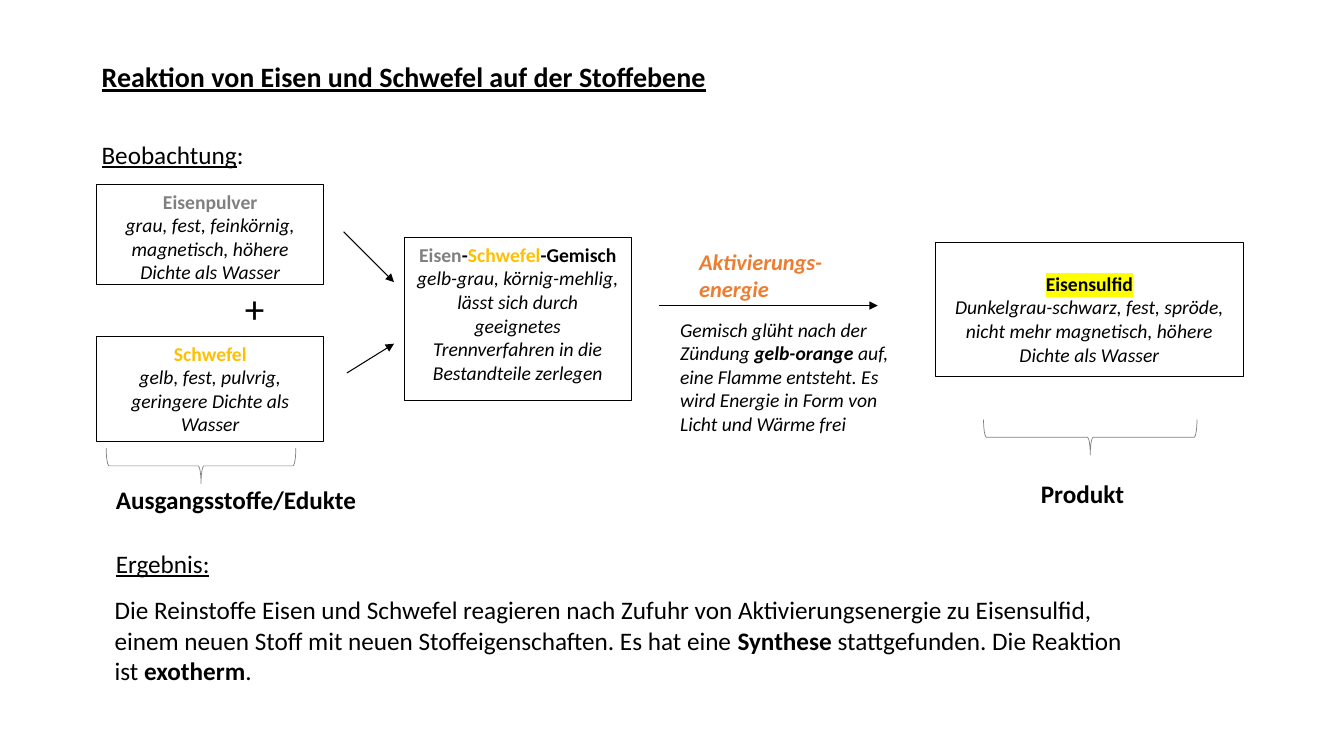
from lxml.etree import SubElement
from pptx import Presentation
from pptx.dml.color import RGBColor
from pptx.enum.shapes import MSO_CONNECTOR, MSO_SHAPE
from pptx.enum.text import MSO_ANCHOR, MSO_AUTO_SIZE, PP_ALIGN
from pptx.oxml.ns import qn
from pptx.util import Cm, Pt

COLORS = {
    "black": "000000", "white": "FFFFFF", "iron": "808080",
    "sulfur": "FFC000", "energy": "ED7D31", "marker": "FFFF00",
}
FONT = "Calibri"

# A run is (text, style letters, colour, highlight); the last two may be left out.
# Style letters: b bold, i italic, u underlined.
TITLE = [("Reaktion von Eisen und Schwefel auf der Stoffebene", "bu")]
TITLE_PLACE = (2.31, 1.37, 20.27, 1.12)

# Framed substances: place in cm, top inset in cm, paragraphs
SUBSTANCES = [
    ((2.44, 8.48, 5.72, 2.64), 0.13, [
        [("Schwefel", "b", "sulfur")],
        [("gelb, fest, pulvrig, geringere Dichte als Wasser", "i")]]),
    ((2.44, 4.65, 5.72, 2.51), 0.13, [
        [("Eisenpulver", "b", "iron")],
        [("grau, fest, feinkörnig, magnetisch, höhere Dichte als Wasser", "i")]]),
    ((10.19, 5.99, 5.72, 4.11), 0.13, [
        [("Eisen", "b", "iron"), ("-", "b"), ("Schwefel", "b", "sulfur"),
         ("-Gemisch", "b")],
        [("gelb-grau, körnig-mehlig, lässt sich durch geeignetes "
          "Trennverfahren in die Bestandteile zerlegen", "i")]]),
    ((23.57, 6.12, 7.77, 3.38), 0.73, [
        [("Eisensulfid", "b", "black", "marker")],
        [("Dunkelgrau-schwarz, fest, spröde, nicht mehr magnetisch, "
          "höhere Dichte als Wasser", "i")]]),
]

# Reaction notes: place in cm, bottom inset in cm, size, runs
NOTES = [
    ((17.37, 6.12, 4.01, 0.66), 0, 16, [("Aktivierungs-energie", "bi", "energy")]),
    ((16.89, 7.87, 6.07, 3.38), 0.13, 14, [
        ("Gemisch glüht nach der Zündung ", "i"), ("gelb-orange", "bi"),
        (" auf, eine Flamme entsteht. Es wird Energie in Form von "
         "Licht und Wärme frei", "i")]),
]

# Labels: place in cm, size, wrapped, runs
LABELS = [
    ((2.31, 3.38, 4.14, 1.02), 18, False, [("Beobachtung", "u"), (":", "")]),
    ((5.92, 7.04, 1.09, 1.45), 28, True, [("+", "")]),
    ((2.67, 13.69, 2.9, 1.02), 18, False, [("Ergebnis:", "u")]),
    ((2.64, 14.86, 26.44, 2.57), 18, True, [
        ("Die Reinstoffe Eisen und Schwefel reagieren nach Zufuhr von "
         "Aktivierungsenergie zu Eisensulfid, einem neuen Stoff mit neuen "
         "Stoffeigenschaften. Es hat eine ", ""),
        ("Synthese", "b"), (" stattgefunden. Die Reaktion ist ", ""),
        ("exotherm", "b"), (".", "")]),
    ((2.67, 12.07, 7.59, 1.02), 18, True, [("Ausgangsstoffe/Edukte", "b")]),
    ((25.98, 11.94, 3.76, 1.02), 18, True, [("Produkt", "b")]),
]

# Arrows: start x, start y, end x, end y in cm
ARROWS = [
    (16.61, 7.7, 22.12, 7.7),
    (8.66, 5.84, 9.93, 7.11),
    (8.74, 9.4, 9.93, 8.66),
]
# Braces before their quarter turn, in cm
BRACES = [(4.62, 9.35, 0.89, 4.78), (27.03, 8.33, 0.89, 5.38)]


def rgb(name):
    return RGBColor.from_string(COLORS[name])


def lengths(values):
    return [Cm(value) for value in values]


def add_run(para, size, text, style, color="black", highlight=None):
    span = para.add_run()
    span.text = text
    font = span.font
    font.size = Pt(size)
    font.bold = "b" in style
    font.italic = "i" in style
    font.underline = "u" in style
    font.color.rgb = rgb(color)
    if highlight:
        marker = SubElement(font._element, qn("a:highlight"))
        SubElement(marker, qn("a:srgbClr"), val=COLORS[highlight])
    font.name = FONT


def write(frame, paragraphs, size, align=PP_ALIGN.LEFT):
    for index, runs in enumerate(paragraphs):
        para = frame.add_paragraph() if index else frame.paragraphs[0]
        para.alignment = align
        para.line_spacing = 1.0
        for run in runs:
            add_run(para, size, *run)


def add_panel(page, place, top=0.13, bottom=0.13, framed=False):
    """Add a white rectangle and return its text frame."""
    box = page.shapes.add_shape(MSO_SHAPE.RECTANGLE, *lengths(place))
    box.shadow.inherit = False
    box.fill.solid()
    box.fill.fore_color.rgb = rgb("white")
    if framed:
        box.line.color.rgb = rgb("black")
        box.line.width = Pt(0.75)
    else:
        box.line.fill.background()
    frame = box.text_frame
    frame.word_wrap = True
    frame.vertical_anchor = MSO_ANCHOR.TOP
    frame.margin_top, frame.margin_bottom = Cm(top), Cm(bottom)
    return frame


def add_arrow(page, ends):
    arrow = page.shapes.add_connector(MSO_CONNECTOR.STRAIGHT, *lengths(ends))
    arrow.line.color.rgb = rgb("black")
    arrow.line.width = Pt(0.75)
    SubElement(arrow.line._get_or_add_ln(), qn("a:tailEnd"), type="triangle")
    SubElement(arrow._element.spPr, qn("a:effectLst"))


def add_brace(page, place):
    brace = page.shapes.add_shape(MSO_SHAPE.RIGHT_BRACE, *lengths(place))
    brace.rotation = 90
    brace.shadow.inherit = False
    brace.fill.background()
    brace.line.color.rgb = rgb("iron")
    brace.line.width = Pt(0.5)


def main():
    deck = Presentation()
    deck.slide_width, deck.slide_height = Cm(33.87), Cm(19.05)
    page = deck.slides.add_slide(deck.slide_layouts[5])

    title = page.shapes.title
    title.left, title.top, title.width, title.height = lengths(TITLE_PLACE)
    title.text_frame.auto_size = MSO_AUTO_SIZE.NONE
    title.text_frame.vertical_anchor = MSO_ANCHOR.TOP
    write(title.text_frame, [TITLE], 20)

    for place, top, paragraphs in SUBSTANCES:
        frame = add_panel(page, place, top=top, framed=True)
        write(frame, paragraphs, 14, PP_ALIGN.CENTER)
    for place, bottom, size, runs in NOTES:
        write(add_panel(page, place, bottom=bottom), [runs], size)
    for ends in ARROWS:
        add_arrow(page, ends)
    for place, size, wrapped, runs in LABELS:
        frame = page.shapes.add_textbox(*lengths(place)).text_frame
        frame.word_wrap = wrapped
        frame.auto_size = MSO_AUTO_SIZE.SHAPE_TO_FIT_TEXT
        frame.vertical_anchor = MSO_ANCHOR.TOP if wrapped else MSO_ANCHOR.MIDDLE
        write(frame, [runs], size)
    for place in BRACES:
        add_brace(page, place)

    deck.save("out.pptx")


if __name__ == "__main__":
    main()
